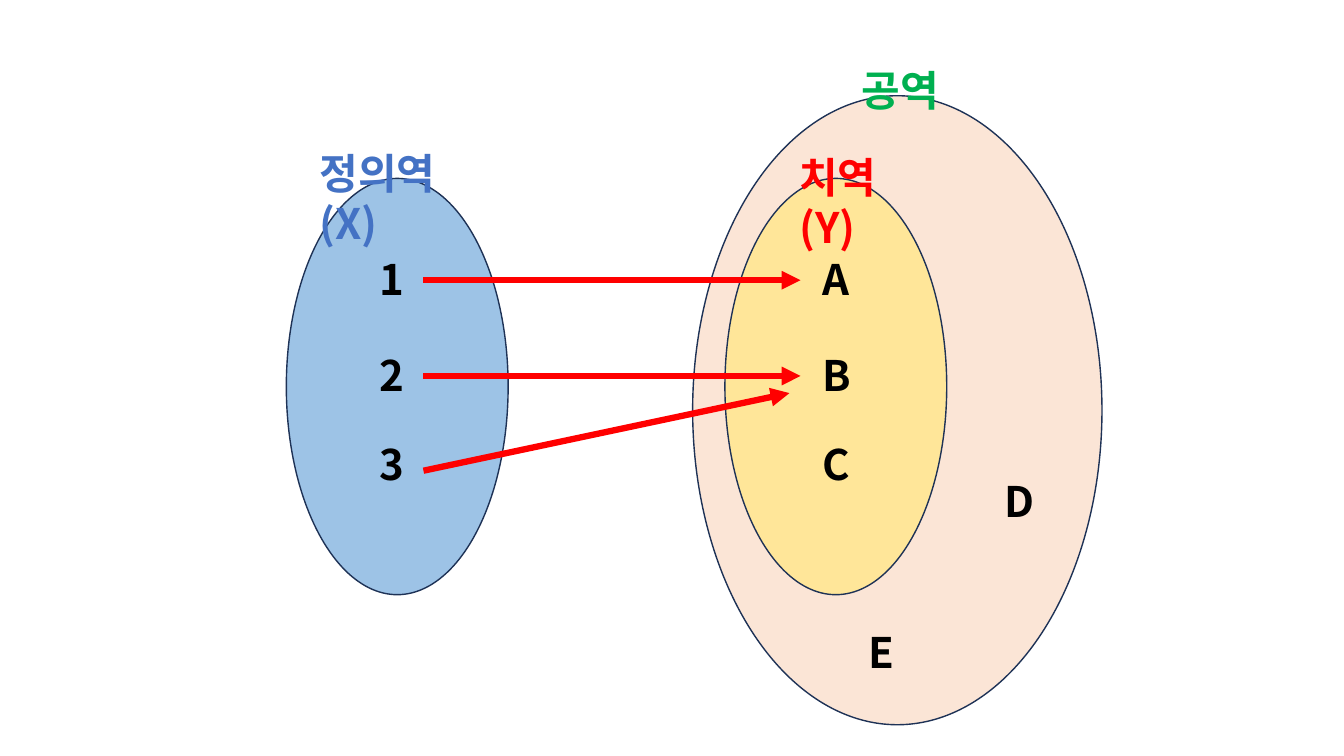
from dataclasses import dataclass

from lxml import etree
from pptx import Presentation
from pptx.dml.color import RGBColor as RGB
from pptx.enum.shapes import MSO_CONNECTOR as CONN, MSO_SHAPE as SHAPE
from pptx.enum.text import MSO_AUTO_SIZE as FIT
from pptx.oxml.ns import qn
from pptx.util import Inches, Pt


@dataclass(frozen=True)
class Theme:
    font: str = "Noto Sans CJK KR"
    size: int = 30
    outline: str = "1E3256"
    outline_width: float = 1
    arrow: str = "FF0000"
    arrow_width: float = 4.5
    codomain: str = "FBE5D6"
    domain: str = "9DC3E6"
    range: str = "FFE699"
    element: str = "000000"
    domain_name: str = "4472C4"
    range_name: str = "FF0000"
    codomain_name: str = "00B050"


THEME = Theme()
SLIDE = (13.33, 7.5)
LABEL_H = 0.61
ELEMENT_W = 0.8
ROWS = (2.47, 3.42, 4.3)
DOMAIN_X, RANGE_X = 3.67, 8.06
INNER_TOP, INNER_SIZE = 1.77, (2.2, 4.13)

SETS = [
    ((6.87, 0.95), (4.06, 6.24), THEME.codomain),
    ((2.84, INNER_TOP), INNER_SIZE, THEME.domain),
    ((7.19, INNER_TOP), INNER_SIZE, THEME.range),
]
SET_NAMES = [
    ("정의역(X)", 3.07, 1.41, 1.9, THEME.domain_name),
    ("치역(Y)", 7.83, 1.45, 1.45, THEME.range_name),
    ("공역", 8.45, 0.59, 1.32, THEME.codomain_name),
]
DOMAIN = ("1", "2", "3")
RANGE = ("A", "B", "C")
OUTSIDE_RANGE = [("D", 9.86, 4.67), ("E", 8.52, 6.17)]
ARROWS = [
    ((4.2, 2.78), (7.94, 2.78)),
    ((4.2, 3.73), (7.94, 3.73)),
    ((4.2, 4.67), (7.83, 3.9)),
]


def add_set(s, at, size, color):
    sp = s.shapes.add_shape(SHAPE.OVAL, *map(Inches, at + size))
    sp.shadow.inherit = False
    sp.fill.solid()
    sp.fill.fore_color.rgb = RGB.from_string(color)
    sp.line.color.rgb = RGB.from_string(THEME.outline)
    sp.line.width = Pt(THEME.outline_width)


def add_label(s, text, left, top, width=ELEMENT_W, color=THEME.element):
    tf = s.shapes.add_textbox(*map(Inches, (left, top, width, LABEL_H))).text_frame
    tf.word_wrap = True
    tf.auto_size = FIT.SHAPE_TO_FIT_TEXT
    p = tf.paragraphs[0]
    r = p.add_run()
    r.text = text
    font = r.font
    font.name, font.size, font.bold = THEME.font, Pt(THEME.size), True
    font.color.rgb = RGB.from_string(color)
    etree.SubElement(r._r.get_or_add_rPr(), qn("a:ea"), typeface=THEME.font)


def add_arrow(s, start, end):
    arrow = s.shapes.add_connector(CONN.STRAIGHT, *map(Inches, start + end))
    arrow.line.color.rgb = RGB.from_string(THEME.arrow)
    arrow.line.width = Pt(THEME.arrow_width)
    etree.SubElement(arrow.line._get_or_add_ln(), qn("a:tailEnd"), type="triangle")
    etree.SubElement(arrow._element.spPr, qn("a:effectLst"))


def main():
    prs = Presentation()
    prs.slide_width, prs.slide_height = map(Inches, SLIDE)
    s = prs.slides.add_slide(prs.slide_layouts[6])
    for oval in SETS:
        add_set(s, *oval)
    for name in SET_NAMES:
        add_label(s, *name)
    for elements, left in ((DOMAIN, DOMAIN_X), (RANGE, RANGE_X)):
        for text, top in zip(elements, ROWS):
            add_label(s, text, left, top)
    for element in OUTSIDE_RANGE:
        add_label(s, *element)
    for ends in ARROWS:
        add_arrow(s, *ends)
    prs.save("out.pptx")


if __name__ == "__main__":
    main()
